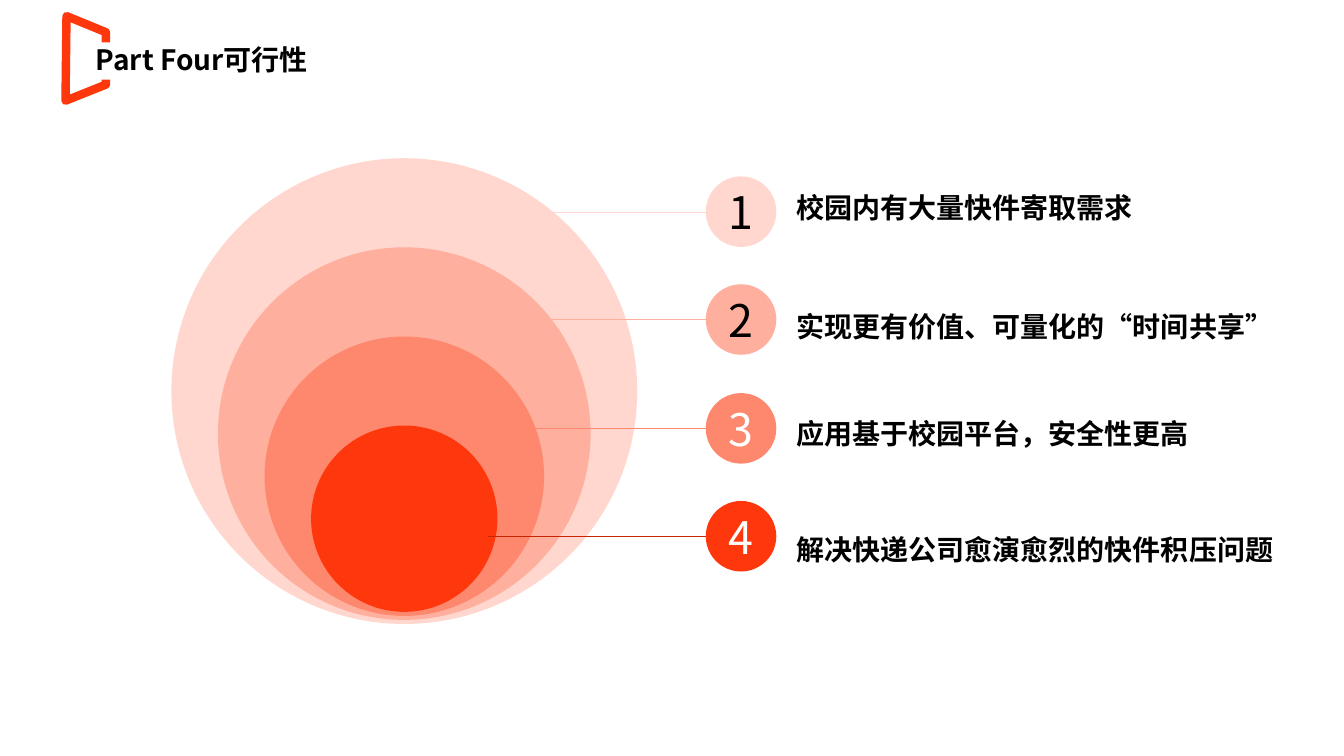
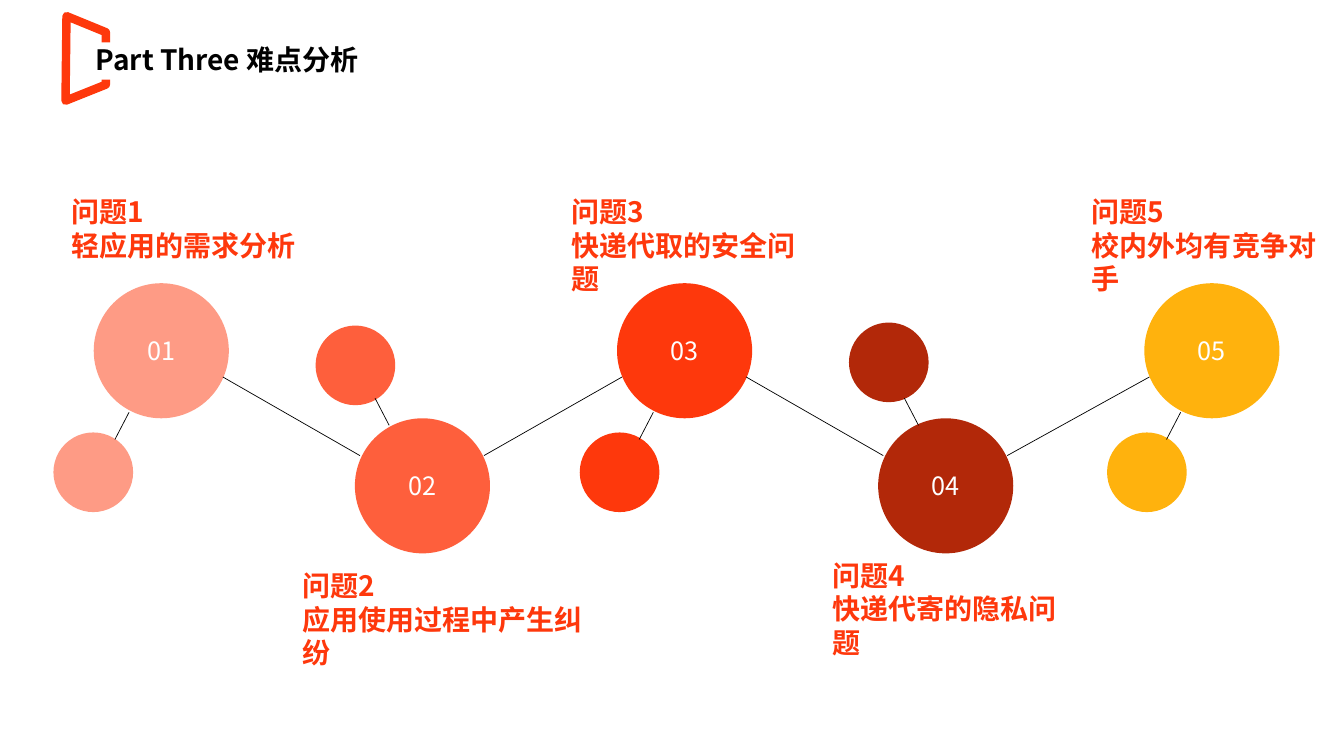
from itertools import pairwise

from lxml import etree
from pptx import Presentation
from pptx.dml.color import RGBColor
from pptx.enum.lang import MSO_LANGUAGE_ID as Lang
from pptx.enum.shapes import MSO_CONNECTOR, MSO_SHAPE
from pptx.enum.text import MSO_ANCHOR as Anchor, MSO_AUTO_SIZE as AutoSize, PP_ALIGN as Align
from pptx.oxml.ns import qn
from pptx.util import Emu, Pt

PX = 9144  # 100 px to the inch
FONT = "Noto Sans CJK SC"
COLORS = {
    "white": "FFFFFF",
    "black": "000000",
    "red": "FE380C",
    "coral": "FE886D",
    "salmon": "FFAF9E",
    "blush": "FFD7CE",
    "crimson": "C72501",
    "brick": "B22809",
    "amber": "FFB20D",
}

# text, label top, ring colour, line colour, digit colour, line start
REASONS = [
    ("校园内有大量快件寄取需求", 184, "blush", "blush", "black", 547),
    ("实现更有价值、可量化的“时间共享”", 302, "salmon", "salmon", "black", 544),
    ("应用基于校园平台，安全性更高", 408, "coral", "coral", "white", 528),
    ("解决快递公司愈演愈烈的快件积压问题", 523, "red", "crimson", "white", 484),
]

# text, label box, circle left, satellite left and top, spoke left, colour, opacity
PROBLEMS = [
    ("轻应用的需求分析", (61, 188, 265, 77), 93, (53, 429), 114, "red", 50),
    ("应用使用过程中产生纠纷", (290, 559, 320, 77), 352, (313, 323), 372, "red", 80),
    ("快递代取的安全问题", (557, 188, 265, 77), 612, (575, 429), 634, "red", 100),
    ("快递代寄的隐私问题", (816, 549, 265, 77), 871, (842, 320), 897, "brick", 100),
    ("校内外均有竞争对手", (1073, 188, 265, 77), 1135, (1098, 429), 1157, "amber", 100),
]


def px(*lengths):
    return [Emu(round(length * PX)) for length in lengths]


def rgb(color):
    return RGBColor.from_string(COLORS[color])


def write(frame, lines, size, color, bold=False, align=Align.LEFT, **frame_format):
    """Fill a text frame with one paragraph per line."""
    settings = {"word_wrap": True, "auto_size": AutoSize.NONE, **frame_format}
    for name, value in settings.items():
        setattr(frame, name, value)
    frame.text = "\n".join(lines)
    run_format = {"size": Pt(size), "bold": bold, "name": FONT,
                  "language_id": Lang.SIMPLIFIED_CHINESE}
    for paragraph in frame.paragraphs:
        paragraph.alignment = align
        for run in paragraph.runs:
            for name, value in run_format.items():
                setattr(run.font, name, value)
            run.font.color.rgb = rgb(color)
            east_asian = etree.SubElement(run.font._element, qn("a:ea"))
            east_asian.set("typeface", FONT)


def add_label(slide, box, lines, color):
    label = slide.shapes.add_textbox(*px(*box))
    write(label.text_frame, lines, 20, color, bold=True)


def add_circle(slide, left, top, diameter, color, opacity=100):
    circle = slide.shapes.add_shape(MSO_SHAPE.OVAL, *px(left, top, diameter, diameter))
    circle.shadow.inherit = False
    circle.line.fill.background()
    circle.fill.solid()
    circle.fill.fore_color.rgb = rgb(color)
    if opacity < 100:
        fill_color = circle._element.spPr.find(".//" + qn("a:srgbClr"))
        etree.SubElement(fill_color, qn("a:alpha")).set("val", str(opacity * 1000))
    return circle


def write_number(circle, number, size, color):
    write(circle.text_frame, [number], size, color, align=Align.CENTER,
          vertical_anchor=Anchor.MIDDLE, margin_left=0, margin_right=0,
          margin_top=0, margin_bottom=0)


def add_line(slide, start, end, color, width):
    line = slide.shapes.add_connector(MSO_CONNECTOR.STRAIGHT, *px(*start, *end))
    line.line.color.rgb = rgb(color)
    line.line.width = Pt(width)
    etree.SubElement(line._element.spPr, qn("a:effectLst"))


def add_frame(layout, slide):
    """Draw the title's red frame and move it to the layout, for all slides."""
    builder = slide.shapes.build_freeform(105, 32, scale=PX)
    builder.add_line_segments([(66, 16), (65, 100), (105, 84)], close=True)
    frame = builder.convert_to_shape()
    frame.shadow.inherit = False
    frame.fill.background()
    frame.line.color.rgb = rgb("red")
    frame.line.width = Pt(6)
    layout.shapes._spTree.append(frame._element)


def add_titled_slide(deck, layout, heading):
    slide = deck.slides.add_slide(layout)
    title = slide.shapes.title
    title.left, title.top, title.width, title.height = px(85, 42, 320, 37)
    title.fill.solid()
    title.fill.fore_color.rgb = rgb("white")
    write(title.text_frame, [heading], 20, "black", bold=True,
          vertical_anchor=Anchor.MIDDLE)
    title.text_frame.paragraphs[0].line_spacing = 0.9
    return slide


def draw_reasons(slide):
    for index, (_, _, ring_color, *_) in enumerate(REASONS):
        diameter = 462 * (1 - 0.2 * index)
        bottom = 619 - 4 * index
        add_circle(slide, 401 - diameter / 2, bottom - diameter, diameter, ring_color)

    badge_left, badge_size = 700, 70
    for index, reason in enumerate(REASONS):
        text, label_top, ring_color, line_color, digit_color, line_start = reason
        badge_top = round(175 + 107.3 * index)
        middle = badge_top + badge_size / 2
        add_line(slide, (line_start, middle), (badge_left, middle), line_color, 0.25)
        badge = add_circle(slide, badge_left, badge_top, badge_size, ring_color)
        write_number(badge, str(index + 1), 32, digit_color)
        add_label(slide, (780, label_top, 530, 44), [text], "black")


def draw_problems(slide):
    tops = (281, 415)
    joints = (374, 452)
    spokes = ((436, 409), (395, 422))
    for index, problem in enumerate(PROBLEMS):
        text, label_box, left, satellite, spoke_left, color, opacity = problem
        row = index % 2
        circle = add_circle(slide, left, tops[row], 134, color, opacity)
        write_number(circle, f"{index + 1:02}", 18, "white")
        add_circle(slide, *satellite, 79, color, opacity)
        spoke_start, spoke_end = spokes[row]
        add_line(slide, (spoke_left, spoke_start), (spoke_left + 14, spoke_end), "black", 0.5)
        add_label(slide, label_box, [f"问题{index + 1}", text], "red")

    lefts = [problem[2] for problem in PROBLEMS]
    for index, (left, next_left) in enumerate(pairwise(lefts)):
        row = index % 2
        add_line(slide, (left + 128, joints[row]), (next_left + 5, joints[1 - row]), "black", 0.5)


def main():
    deck = Presentation()
    deck.slide_width, deck.slide_height = px(1333, 750)
    layout = deck.slide_layouts[5]

    feasibility = add_titled_slide(deck, layout, "Part Four可行性")
    add_frame(layout, feasibility)
    draw_reasons(feasibility)

    difficulties = add_titled_slide(deck, layout, "Part Three 难点分析")
    draw_problems(difficulties)

    deck.save("out.pptx")


if __name__ == "__main__":
    main()
